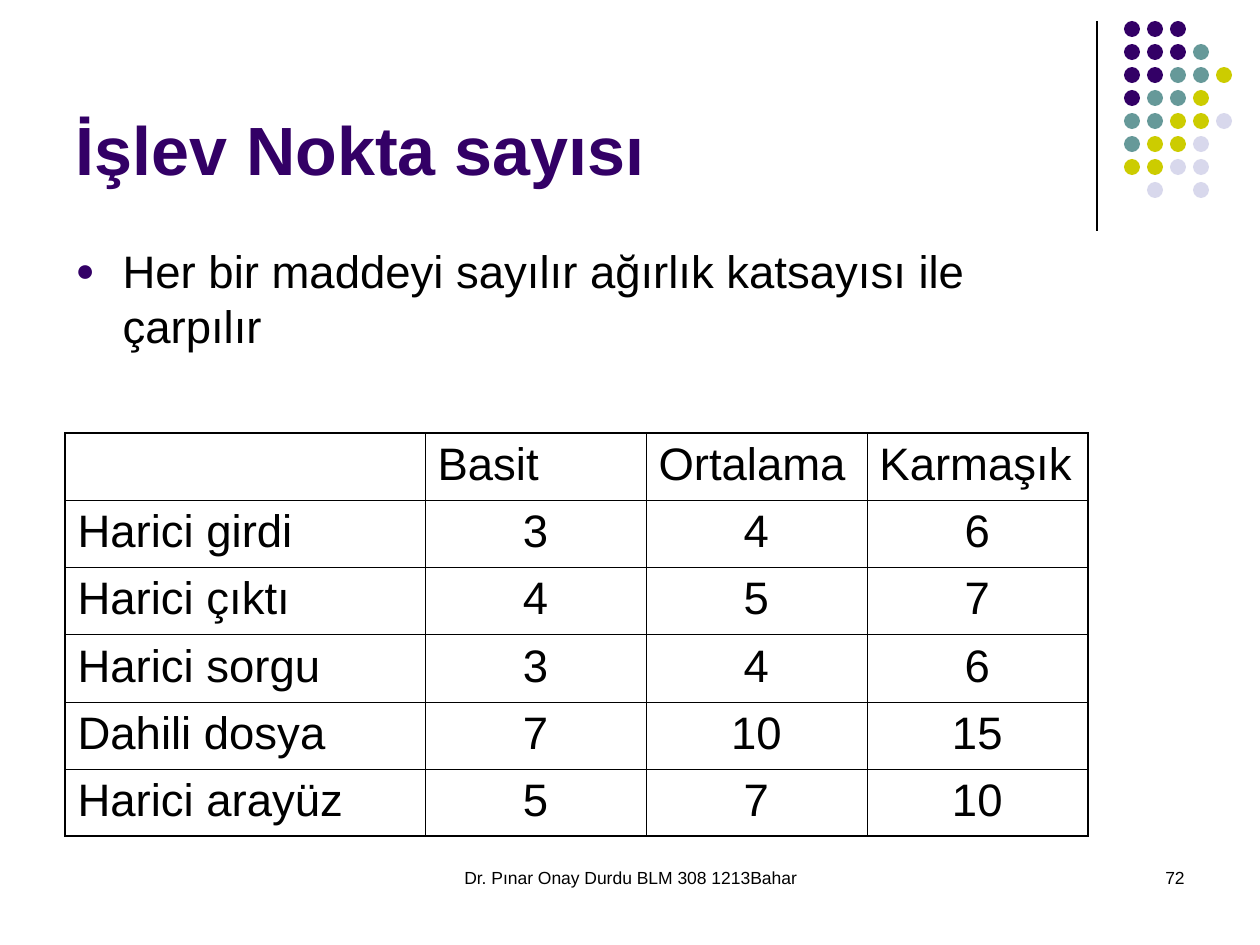
from pptx import Presentation
from pptx.dml.color import RGBColor as RGB
from pptx.enum.shapes import MSO_CONNECTOR as LINE, MSO_SHAPE as SHAPE
from pptx.enum.text import MSO_ANCHOR as ANCHOR, MSO_AUTO_SIZE as AUTO, PP_ALIGN as ALIGN
from pptx.oxml.ns import qn
from pptx.util import Pt
from lxml.etree import SubElement as sub

PX = 914400 // 126
HUES = {"P": "330066", "T": "669999", "Y": "CCCC00", "L": "D8D8EC", "ink": "000000"}


def place(item, *box):
    for key, val in zip(("left", "top", "width", "height"), box):
        setattr(item, key, val * PX)


def write(frame, text, size, hue="ink", align=ALIGN.LEFT, bold=False):
    frame.word_wrap = True
    par = frame.paragraphs[0]
    par.alignment = align
    par.space_before = Pt(0)
    run = par.add_run()
    run.text = text
    for key, val in {"name": "Arial", "size": Pt(size), "bold": bold}.items():
        setattr(run.font, key, val)
    run.font.color.rgb = RGB.from_string(HUES[hue])
    return par


deck = Presentation()
deck.slide_width, deck.slide_height = 1260 * PX, 945 * PX
slide = deck.slides.add_slide(deck.slide_layouts[1])
shapes = slide.shapes

# Rule beside the dots
rule = shapes.add_connector(LINE.STRAIGHT, 1097 * PX, 21 * PX, 1097 * PX, 231 * PX)
rule.line.width = Pt(0.75)
rule.line.color.rgb = RGB.from_string(HUES["ink"])
sub(rule._element.spPr, qn("a:effectLst"))

# Dot grid, one letter per colour
dots = ["PPP", "PPPT", "PPTTY", "PTTY", "TTYYL", "TYYL", "YYLL", " L L"]
for row, marks in enumerate(dots):
    for col, mark in enumerate(marks):
        if mark == " ":
            continue
        dot = shapes.add_shape(SHAPE.OVAL, 0, 0, 0, 0)
        place(dot, 1124 + 23 * col, 21 + 23 * row, 16, 16)
        dot.shadow.inherit = False
        dot.fill.solid()
        dot.fill.fore_color.rgb = RGB.from_string(HUES[mark])
        dot.line.fill.background()

# Footer and page number
feet = [
    ("Dr. Pınar Onay Durdu BLM 308 1213Bahar", 431, 399, ALIGN.CENTER),
    ("72", 903, 294, ALIGN.RIGHT),
]
for text, left, width, align in feet:
    foot = shapes.add_textbox(0, 0, 0, 0)
    place(foot, left, 861, width, 63)
    write(foot.text_frame, text, 10, align=align)

# Title
title = shapes.title
place(title, 63, 16, 1040, 179)
title.text_frame.auto_size = AUTO.NONE
title.text_frame.vertical_anchor = ANCHOR.BOTTOM
write(title.text_frame, "İşlev Nokta sayısı", 39, "P", bold=True)

# Bulleted body
body = slide.placeholders[1]
place(body, 63, 237, 1033, 607)
body.text_frame.auto_size = AUTO.NONE
par = write(body.text_frame, "Her bir maddeyi sayılır ağırlık katsayısı ile çarpılır", 26)
props = par._p.get_or_add_pPr()
props.set("marL", str(47 * PX))
props.set("indent", str(-47 * PX))
sub(sub(props, qn("a:buClr")), qn("a:srgbClr"), val=HUES["P"])
sub(props, qn("a:buSzPct"), val="70000")
sub(props, qn("a:buFont"), typeface="Arial")
sub(props, qn("a:buChar"), char="●")

# Weight table
rows = [
    ("", "Basit", "Ortalama", "Karmaşık"),
    ("Harici girdi", 3, 4, 6),
    ("Harici çıktı", 4, 5, 7),
    ("Harici sorgu", 3, 4, 6),
    ("Dahili dosya", 7, 10, 15),
    ("Harici arayüz", 5, 7, 10),
]
wide = [360, 221, 221, 221]
end, last = len(rows) - 1, len(wide) - 1
grid = shapes.add_table(len(rows), len(wide), 65 * PX, 433 * PX, sum(wide) * PX, 67 * len(rows) * PX).table
grid.first_row = grid.horz_banding = False
for col, width in zip(grid.columns, wide):
    col.width = width * PX
for r, vals in enumerate(rows):
    for c, val in enumerate(vals):
        cell = grid.cell(r, c)
        if val != "":
            align = ALIGN.CENTER if r and c else ALIGN.LEFT
            write(cell.text_frame, str(val), 26, align=align)
        # Heavier lines on the outer edge
        outer = {"lnL": c == 0, "lnR": c == last, "lnT": r == 0, "lnB": r == end}
        for side, edge in outer.items():
            line = sub(cell._tc.get_or_add_tcPr(), qn("a:" + side), w=str(Pt(1.08 if edge else 0.45)))
            sub(sub(line, qn("a:solidFill")), qn("a:srgbClr"), val=HUES["ink"])
        cell.fill.background()

deck.save("out.pptx")
